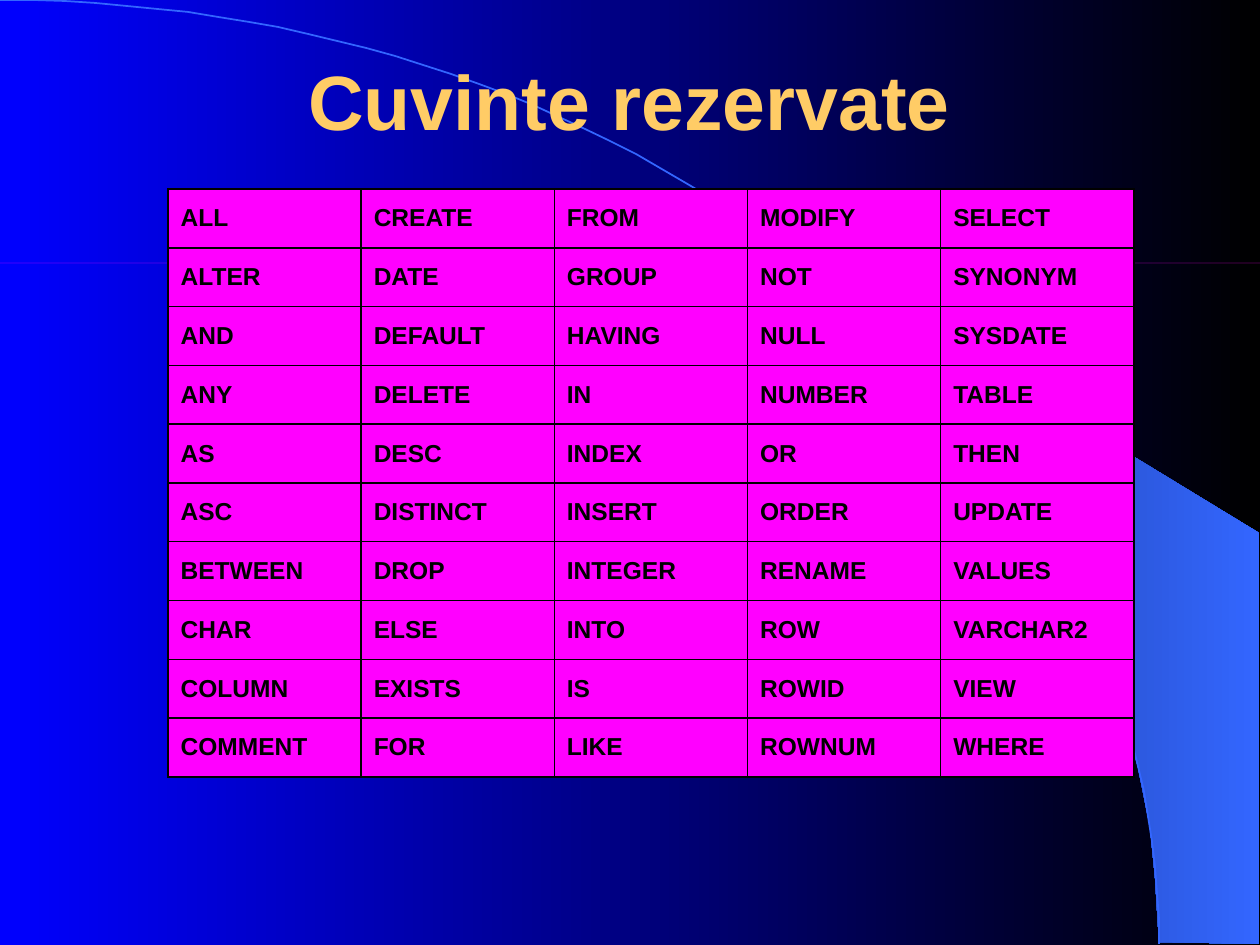
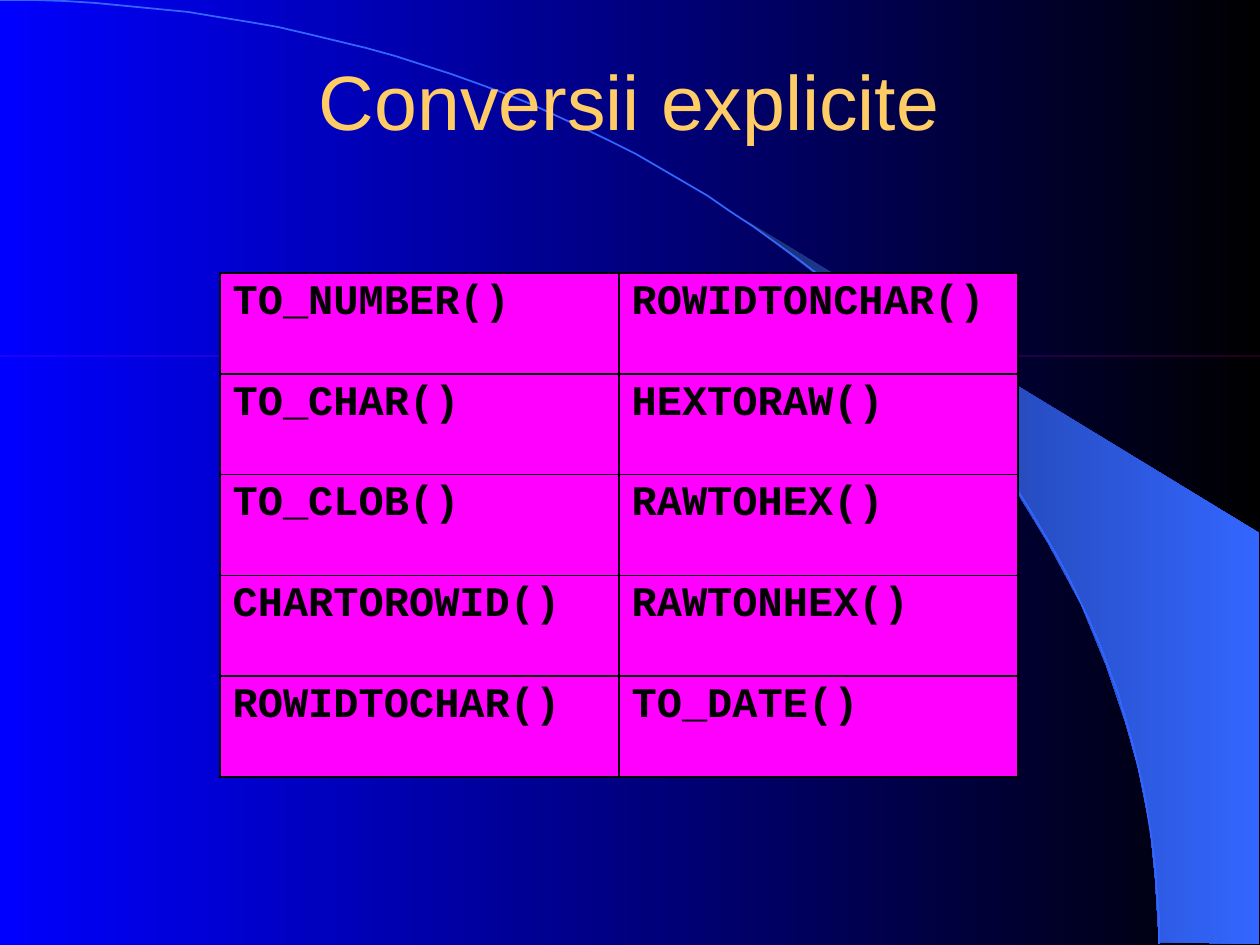
from lxml.etree import SubElement
from pptx import Presentation
from pptx.dml.color import RGBColor
from pptx.enum.shapes import MSO_SHAPE
from pptx.enum.text import MSO_ANCHOR, PP_ALIGN
from pptx.oxml.ns import qn
from pptx.util import Emu, Pt

EMU_PER_PX = 914400 / 126
SLIDE_BOX = (0, 0, 1260, 945)
TITLE_BOX = (94, 32, 1071, 136)

BLUE, BLACK, MAGENTA = "0000FF", "000000", "FF00FF"
GOLD, SWEEP_DARK, SWEEP_LIGHT = "FFCC66", "182F76", "3366FF"

SWEEP_POINTS = [
    (1159, 942), (1259, 944), (1259, 533), (742, 218), (786, 251), (823, 280),
    (863, 315), (902, 353), (960, 416), (1012, 484), (1048, 543), (1081, 604),
    (1106, 665), (1125, 721), (1138, 767), (1150, 827), (1155, 877),
]
ARC_CONTROLS = [(0, 0), (640, 0), (1159, 422), (1159, 944)]
ARC_STEPS = 60

RESERVED_WORDS = [
    ["ALL", "CREATE", "FROM", "MODIFY", "SELECT"],
    ["ALTER", "DATE", "GROUP", "NOT", "SYNONYM"],
    ["AND", "DEFAULT", "HAVING", "NULL", "SYSDATE"],
    ["ANY", "DELETE", "IN", "NUMBER", "TABLE"],
    ["AS", "DESC", "INDEX", "OR", "THEN"],
    ["ASC", "DISTINCT", "INSERT", "ORDER", "UPDATE"],
    ["BETWEEN", "DROP", "INTEGER", "RENAME", "VALUES"],
    ["CHAR", "ELSE", "INTO", "ROW", "VARCHAR2"],
    ["COLUMN", "EXISTS", "IS", "ROWID", "VIEW"],
    ["COMMENT", "FOR", "LIKE", "ROWNUM", "WHERE"],
]
CONVERSIONS = [
    ["TO_NUMBER()", "ROWIDTONCHAR()"],
    ["TO_CHAR()", "HEXTORAW()"],
    ["TO_CLOB()", "RAWTOHEX()"],
    ["CHARTOROWID()", "RAWTONHEX()"],
    ["ROWIDTOCHAR()", "TO_DATE()"],
]


def px(length):
    return Emu(round(length * EMU_PER_PX))


def to_emu(box):
    return [px(length) for length in box]


def color(hex_string):
    return RGBColor.from_string(hex_string)


def fill_solid(fill, hex_string):
    fill.solid()
    fill.fore_color.rgb = color(hex_string)


def fill_gradient(fill, start, end):
    fill.gradient()
    fill.gradient_angle = 0
    for stop, hex_string in zip(fill.gradient_stops, (start, end)):
        stop.color.rgb = color(hex_string)


def write_text(frame, text, *, size, fill, font="Arial", bold=False, align=PP_ALIGN.LEFT):
    paragraph = frame.paragraphs[0]
    paragraph.alignment = align
    run = paragraph.add_run()
    run.text = text
    run.font.name = font
    run.font.size = Pt(size)
    run.font.bold = bold
    run.font.color.rgb = color(fill)


def add_outline(slide, box, points, close):
    left, top = box[:2]
    placed = [(left + x, top + y) for x, y in points]
    builder = slide.shapes.build_freeform(*placed[0], scale=EMU_PER_PX)
    builder.add_line_segments(placed[1:], close=close)
    shape = builder.convert_to_shape()
    shape.shadow.inherit = False
    return shape


def bezier_point(controls, t):
    weights = ((1 - t) ** 3, 3 * t * (1 - t) ** 2, 3 * t * t * (1 - t), t ** 3)
    return tuple(sum(w * value for w, value in zip(weights, axis)) for axis in zip(*controls))


def add_backdrop(slide, box):
    """Gradient background with the lit sweep and the thin arc along its edge."""
    fill_gradient(slide.background.fill, BLUE, BLACK)
    sweep = add_outline(slide, box, SWEEP_POINTS, close=True)
    fill_gradient(sweep.fill, SWEEP_DARK, SWEEP_LIGHT)
    sweep.line.fill.background()

    curve = [bezier_point(ARC_CONTROLS, step / ARC_STEPS) for step in range(ARC_STEPS + 1)]
    arc = add_outline(slide, box, curve, close=False)
    arc.fill.background()
    arc.line.color.rgb = color(SWEEP_LIGHT)
    arc.line.width = Pt(1)


def add_title(slide, box, text, bold):
    frame = slide.shapes.add_textbox(*to_emu(box)).text_frame
    frame.word_wrap = True
    frame.vertical_anchor = MSO_ANCHOR.MIDDLE
    write_text(frame, text, size=44, fill=GOLD, bold=bold, align=PP_ALIGN.CENTER)


def add_hairline(slide, box):
    hairline = slide.shapes.add_shape(MSO_SHAPE.RECTANGLE, *to_emu(box))
    hairline.shadow.inherit = False
    fill_solid(hairline.fill, MAGENTA)
    hairline.line.fill.background()


def add_borders(cell):
    properties = cell._tc.get_or_add_tcPr()
    for side in ("lnL", "lnR", "lnT", "lnB"):
        border = SubElement(properties, qn(f"a:{side}"), w=str(Pt(0.96)))
        solid = SubElement(border, qn("a:solidFill"))
        SubElement(solid, qn("a:srgbClr"), val=BLACK)


def add_word_table(slide, box, words, anchor, **text_format):
    frame = slide.shapes.add_table(len(words), len(words[0]), *to_emu(box))
    table = frame.table
    table.first_row = table.horz_banding = False
    for column in table.columns:
        column.width = px(box[2] / len(words[0]))
    for row, row_words in zip(table.rows, words):
        row.height = px(box[3] / len(words))
        for cell, word in zip(row.cells, row_words):
            add_borders(cell)
            fill_solid(cell.fill, MAGENTA)
            cell.vertical_anchor = anchor
            write_text(cell.text_frame, word, fill=BLACK, bold=True,
                       align=PP_ALIGN.JUSTIFY, **text_format)


def add_table_slide(presentation, title, words, box, *, hairline_top, anchor,
                    title_bold=False, **text_format):
    slide = presentation.slides.add_slide(presentation.slide_layouts[6])
    add_backdrop(slide, SLIDE_BOX)
    add_title(slide, TITLE_BOX, title, title_bold)
    add_hairline(slide, (0, hairline_top, SLIDE_BOX[2], 0))
    add_word_table(slide, box, words, anchor, **text_format)


def main():
    presentation = Presentation()
    presentation.slide_width, presentation.slide_height = to_emu(SLIDE_BOX[2:])
    add_table_slide(presentation, "Cuvinte rezervate", RESERVED_WORDS, (168, 189, 966, 588),
                    hairline_top=263, anchor=MSO_ANCHOR.MIDDLE, title_bold=True, size=14)
    add_table_slide(presentation, "Conversii explicite", CONVERSIONS, (220, 273, 798, 504),
                    hairline_top=356, anchor=MSO_ANCHOR.TOP, size=24, font="Courier New")
    presentation.save("out.pptx")


if __name__ == "__main__":
    main()
